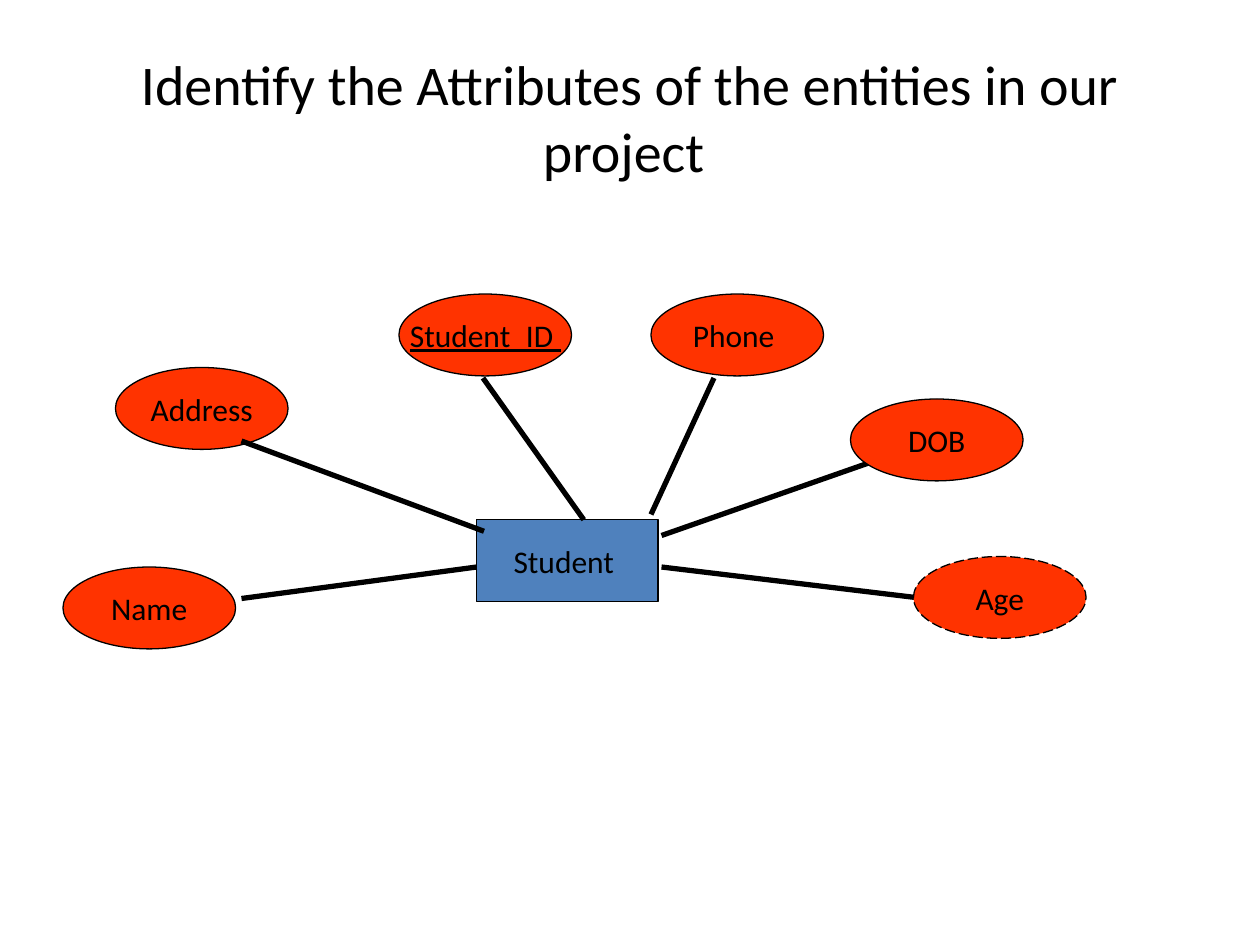
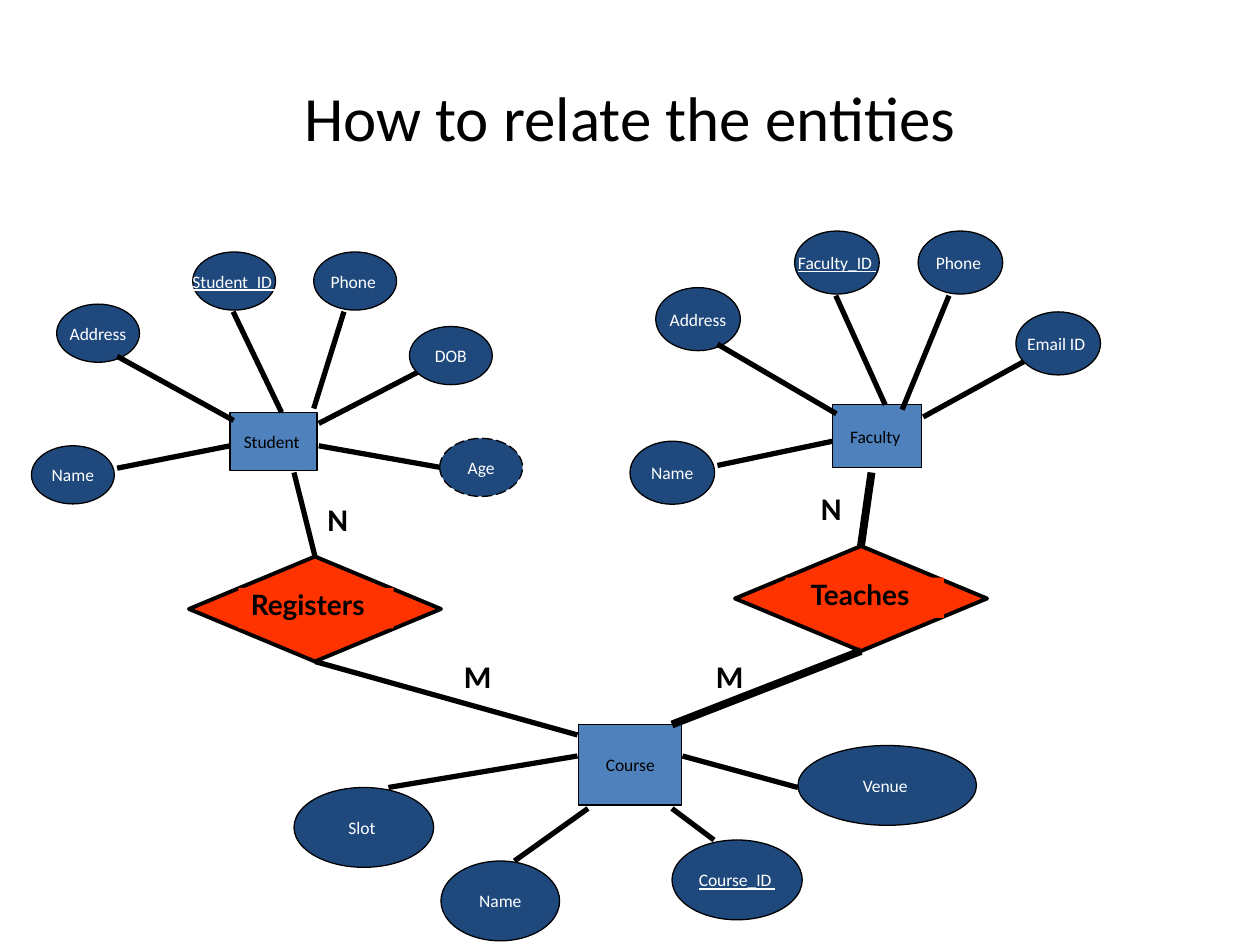
from dataclasses import dataclass
from lxml import etree
from pptx import Presentation
from pptx import util as u
from pptx.dml.color import RGBColor
from pptx.enum import dml, shapes, text
from pptx.oxml.ns import qn


@dataclass(frozen=True)
class Theme:
    font: str = "Calibri"
    label_font: str = "Lato"
    ink: str = "000000"
    paper: str = "FFFFFF"
    entity: str = "4F81BD"
    red: str = "FF3300"
    navy: str = "1F497D"
    large: int = 18
    small: int = 10
    relation: int = 16
    thin: float = 0.75
    outline: float = 2.25
    spoke: float = 3


T = Theme()
COLS, ROWS = 120, 90
TITLE_BOX = (6, 3.6, 108, 15)

PERSON_ENTITY = (39.4, 21.5, 17.28, 7.8)
PERSON_OVAL = (16.44, 7.8)
PERSON_SLOTS = {
    "address": ((5, 7), (17, 14, 40.1, 22.6)),
    "key": ((32, 0), (40, 8, 49.6, 21.5)),
    "name": ((0, 26), (17, 29, 39.4, 26)),
    "phone": ((56, 0), (62, 8, 56, 21)),
    "upper right": ((75, 10), (57, 23, 77, 16)),
    "lower right": ((81, 25), (57, 26, 82, 29)),
}
LINES_BEHIND = ("upper right", "lower right")

STUDENT = {"address": "Address", "key": "Student_ID ", "name": "Name",
           "phone": "Phone ", "upper right": "DOB", "lower right": "Age"}
FACULTY = {"address": "Address", "key": "Faculty_ID ", "name": "Name",
           "phone": "Phone ", "upper right": "Email ID "}
FACULTY_LINES = {"phone": (62, 8, 52.9, 22.1)}

COURSE_ENTITY = (55.1, 69, 9.84, 7.68)
COURSE = [
    ("Name", (42, 82, 11.3, 7.6), (49, 82, 56, 77)),
    ("Slot ", (28, 75, 13.3, 7.6), (37, 75, 55, 72)),
    ("Course_ID ", (64, 80, 12.4, 7.6), (64, 77, 68, 80)),
    ("Venue ", (76, 71, 17, 7.6), (76, 75, 65, 72)),
]

RELATIONS = [
    ("Registers", (18, 53), (22.7, 56, 14.8, 3.84), 0.1, (28, 45), (55, 70), 3),
    ("Teaches", (70, 52), (74.8, 55, 15.1, 3.84), 0.2, (83, 45), (64, 69), 4.5),
]
DIAMOND = (24, 10)
CARDINALITIES = [("M", 43, 62), ("N", 30, 47), ("N", 77, 46), ("M", 67, 62)]

prs = Presentation()
prs.slide_width, prs.slide_height = u.Inches(10), u.Inches(7.5)
CELL_W, CELL_H = prs.slide_width / COLS, prs.slide_height / ROWS


def place(box, origin=(0, 0), scale=(1, 1)):
    x, y, w, h = box
    return [round(v) for v in ((origin[0] + x * scale[0]) * CELL_W,
                               (origin[1] + y * scale[1]) * CELL_H,
                               w * scale[0] * CELL_W, h * scale[1] * CELL_H)]


def rgb(value):
    return RGBColor.from_string(value)


def write(tf, words, size, color=T.ink, font=T.font, bold=False,
          underline=False, align=text.PP_ALIGN.CENTER):
    p = tf.paragraphs[0]
    p.alignment = align
    r = p.add_run()
    r.text = words
    f = r.font
    f.name, f.size, f.bold, f.underline = font, u.Pt(size), bold, underline
    f.color.rgb = rgb(color)
    return p


def add_box(parent, kind, frame, fill, line=T.thin):
    sp = parent.add_shape(kind, *frame)
    sp.shadow.inherit = False
    sp.fill.solid()
    sp.fill.fore_color.rgb = rgb(fill)
    if line:
        sp.line.color.rgb = rgb(T.ink)
        sp.line.width = u.Pt(line)
    else:
        sp.line.fill.background()
    return sp


def add_node(parent, kind, words, frame, fill, size, color):
    sp = add_box(parent, kind, frame, fill)
    tf = sp.text_frame
    tf.word_wrap = False
    tf.vertical_anchor = text.MSO_ANCHOR.MIDDLE
    write(tf, words, size, color, underline="_ID" in words)
    if words == "Age":
        sp.line.dash_style = dml.MSO_LINE.LONG_DASH


def add_entity(parent, words, frame, size):
    add_node(parent, shapes.MSO_SHAPE.RECTANGLE, words, frame, T.entity, size, T.ink)


def add_attribute(parent, words, frame, fill, size, color):
    add_node(parent, shapes.MSO_SHAPE.OVAL, words, frame, fill, size, color)


def add_line(parent, ends, origin=(0, 0), scale=(1, 1), width=T.spoke):
    start = place((*ends[:2], 0, 0), origin, scale)[:2]
    stop = place((*ends[2:], 0, 0), origin, scale)[:2]
    c = parent.add_connector(shapes.MSO_CONNECTOR.STRAIGHT, *start, *stop)
    c.line.color.rgb = rgb(T.ink)
    c.line.width = u.Pt(width)
    etree.SubElement(c._element.spPr, qn("a:effectLst"))
    return c


def add_person(s, entity, attributes, origin, scale, fill, size, color, lines={}):
    group = s.shapes.add_group_shape().shapes
    add_entity(group, entity, place(PERSON_ENTITY, origin, scale), size)
    for slot, words in attributes.items():
        corner, ends = PERSON_SLOTS[slot]
        ends = lines.get(slot, ends)
        frame = place((*corner, *PERSON_OVAL), origin, scale)
        if slot in LINES_BEHIND:
            add_line(group, ends, origin, scale)
        add_attribute(group, words, frame, fill, size, color)
        if slot not in LINES_BEHIND:
            add_line(group, ends, origin, scale)


def add_relation(s, words, corner, plate, inset, start, stop, width):
    group = s.shapes.add_group_shape().shapes
    diamond = add_box(group, shapes.MSO_SHAPE.DIAMOND,
                      place((*corner, *DIAMOND)), T.red, T.outline)
    label = add_box(group, shapes.MSO_SHAPE.RECTANGLE, place(plate), T.red, None)
    tf = label.text_frame
    tf.word_wrap = True
    tf.margin_left = u.Inches(inset)
    tf.vertical_anchor = text.MSO_ANCHOR.TOP
    p = write(tf, words, T.relation, font=T.label_font, bold=True,
              align=text.PP_ALIGN.LEFT)
    p.line_spacing = 0.8
    add_line(s.shapes, (*start, *start), width=width).end_connect(diamond, 0)
    add_line(s.shapes, (*stop, *stop), width=width).begin_connect(diamond, 2)


def add_slide(title, size):
    s = prs.slides.add_slide(prs.slide_layouts[5])
    sp = s.shapes.title
    sp.left, sp.top, sp.width, sp.height = place(TITLE_BOX)
    tf = sp.text_frame
    tf.auto_size = text.MSO_AUTO_SIZE.NONE
    tf.vertical_anchor = text.MSO_ANCHOR.MIDDLE
    write(tf, title, size)
    return s


def build_attributes():
    s = add_slide("Identify the Attributes of the entities in our project ", 32)
    add_person(s, "Student ", STUDENT, (6, 28), (1, 1), T.red, T.large, T.ink)


def build_relations():
    s = add_slide("How to relate the entities", 36)
    style = (T.navy, T.small, T.paper)
    add_person(s, "Student ", STUDENT, (3, 24), (0.48, 0.71), *style)
    add_person(s, "Faculty ", FACULTY, (60, 22), (0.49, 0.77), *style, FACULTY_LINES)
    add_entity(s.shapes, "Course", place(COURSE_ENTITY), T.small)
    for words, box, ends in COURSE:
        add_attribute(s.shapes, words, place(box), *style)
        add_line(s.shapes, ends)
    for relation in RELATIONS:
        add_relation(s, *relation)
    for words, x, y in CARDINALITIES:
        tf = s.shapes.add_textbox(*place((x, y, 8, 4.8))).text_frame
        tf.word_wrap = True
        write(tf, words, T.large, bold=True, align=text.PP_ALIGN.LEFT)


def main():
    build_attributes()
    build_relations()
    prs.save("out.pptx")


if __name__ == "__main__":
    main()
